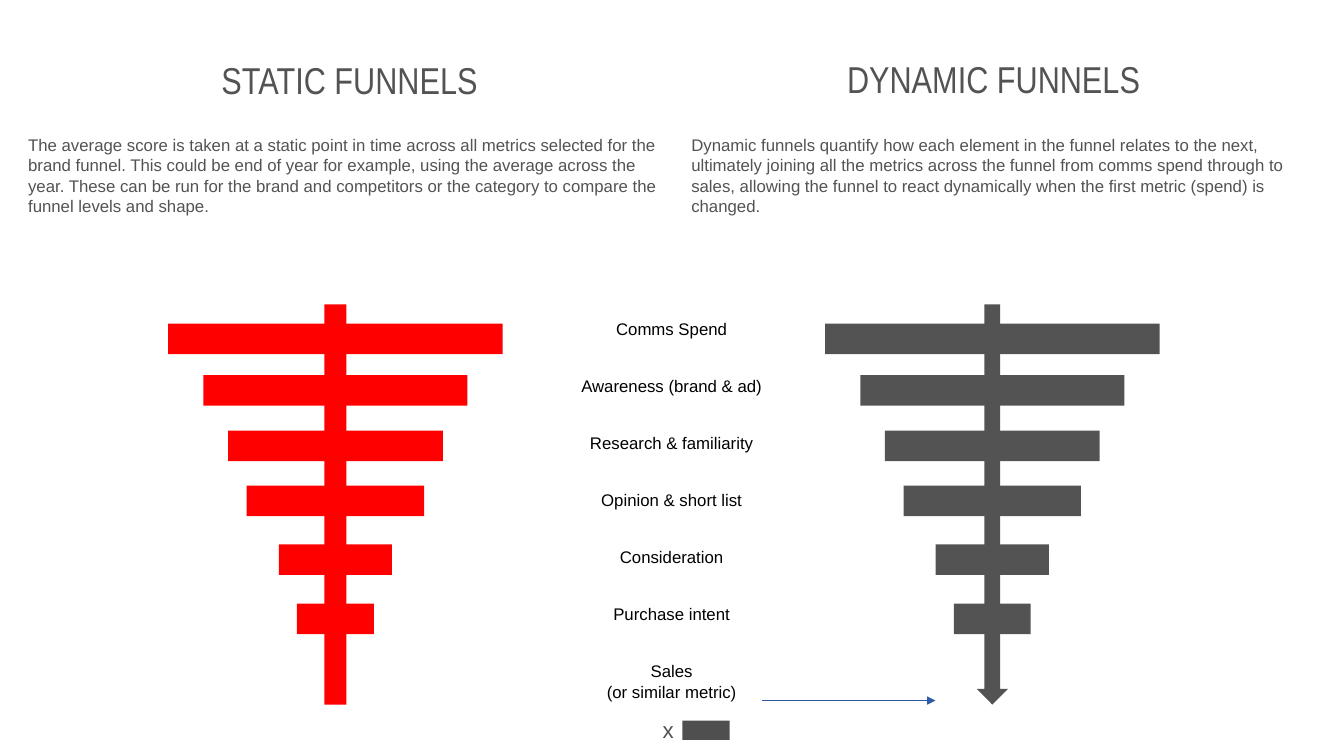
from lxml.etree import SubElement
from pptx import Presentation
from pptx.dml.color import RGBColor
from pptx.enum.shapes import MSO_CONNECTOR, MSO_SHAPE
from pptx.enum.text import MSO_ANCHOR, PP_ALIGN
from pptx.oxml.ns import qn
from pptx.util import Pt

COLORS = {
    "red": "FF0000",
    "gray": "535353",
    "black": "000000",
    "blue": "2E5BA6",
    "mark": "504F4F",
}

STATIC_TEXT = (
    "The average score is taken at a static point in time across all metrics "
    "selected for the brand funnel. This could be end of year for example, "
    "using the average across the year. These can be run for the brand and "
    "competitors or the category to compare the funnel levels and shape."
)
DYNAMIC_TEXT = (
    "Dynamic funnels quantify how each element in the funnel relates to the "
    "next, ultimately joining all the metrics across the funnel from comms "
    "spend through to sales, allowing the funnel to react dynamically when "
    "the first metric (spend) is changed."
)
LABELS = [
    "Comms Spend",
    "Awareness (brand & ad)",
    "Research & familiarity",
    "Opinion & short list",
    "Consideration",
    "Purchase intent",
    "Sales\n(or similar metric)",
]
# Top and width of each funnel bar
BARS = [(231.2, 239), (268, 188.6), (307.6, 153.4),
        (346.9, 126.7), (388.9, 80.8), (431.2, 55)]
BAR_HEIGHT = 21.8
STEM_TOP, STEM_HEIGHT = 217.5, 285.8
STATIC_X, LABEL_X, DYNAMIC_X = 239.6, 479.8, 708.8


def rgb(name):
    return RGBColor.from_string(COLORS[name])


def write(sp, text, size=12, font="Arial", color="gray", align=PP_ALIGN.LEFT,
          anchor=MSO_ANCHOR.TOP, margins=(7.2, 3.6)):
    """Fill a shape with text, one paragraph a line; margins are side and top."""
    tf = sp.text_frame
    tf.word_wrap = True
    tf.vertical_anchor = anchor
    side, top = margins
    tf.margin_left = tf.margin_right = Pt(side)
    tf.margin_top, tf.margin_bottom = Pt(top), Pt(min(top, 3.6))
    for i, line in enumerate(text.split("\n")):
        p = tf.paragraphs[0] if i == 0 else tf.add_paragraph()
        p.alignment = align
        p.line_spacing = 1.0
        p.space_before = Pt(0)
        r = p.add_run()
        r.text = line
        r.font.size, r.font.name = Pt(size), font
        r.font.bold = False
        r.font.color.rgb = rgb(color)


class FunnelSlide:
    HEADING = {"size": 26.7, "font": "Arial Narrow", "align": PP_ALIGN.CENTER}

    def __init__(self, prs):
        self.s = prs.slides.add_slide(prs.slide_layouts[5])

    def title(self, text, x, y, w, h, **style):
        sp = self.s.shapes.title
        sp.left, sp.top, sp.width, sp.height = Pt(x), Pt(y), Pt(w), Pt(h)
        write(sp, text, **self.HEADING, **style)

    def text(self, text, x, y, w, h, **style):
        sp = self.s.shapes.add_textbox(Pt(x), Pt(y), Pt(w), Pt(h))
        write(sp, text, **style)

    def block(self, center, y, w, h, color, kind=MSO_SHAPE.RECTANGLE):
        """Add a plain filled shape centred on a vertical axis."""
        sp = self.s.shapes.add_shape(kind, Pt(center - w / 2), Pt(y), Pt(w), Pt(h))
        sp.shadow.inherit = False
        sp.fill.solid()
        sp.fill.fore_color.rgb = rgb(color)
        sp.line.fill.background()

    def funnel(self, center, color, stem_width, stem_kind=MSO_SHAPE.RECTANGLE):
        self.block(center, STEM_TOP, stem_width, STEM_HEIGHT, color, stem_kind)
        for y, w in BARS:
            self.block(center, y, w, BAR_HEIGHT, color)

    def arrow(self, x1, y1, x2, y2, color):
        line = self.s.shapes.add_connector(
            MSO_CONNECTOR.STRAIGHT, Pt(x1), Pt(y1), Pt(x2), Pt(y2))
        line.line.width = Pt(1)
        line.line.color.rgb = rgb(color)
        SubElement(line.line._get_or_add_ln(), qn("a:tailEnd"), type="triangle")
        SubElement(line._element.spPr, qn("a:effectLst"))


def main():
    prs = Presentation()
    prs.slide_width, prs.slide_height = Pt(960), Pt(540)
    slide = FunnelSlide(prs)

    slide.title("STATIC FUNNELS", 48.2, 33.8, 403.2, 90, margins=(7.2, 6.9))
    slide.text("DYNAMIC FUNNELS", 508.3, 29.5, 403.2, 90,
               margins=(7.2, 10.5), **slide.HEADING)
    slide.text(STATIC_TEXT, 13, 92.9, 464.4, 76.3)
    slide.text(DYNAMIC_TEXT, 486.7, 92.9, 464.4, 76.3)

    slide.funnel(STATIC_X, "red", 15.8)
    slide.funnel(DYNAMIC_X, "gray", 22.3, MSO_SHAPE.DOWN_ARROW)

    for i, label in enumerate(LABELS):
        height = 21.8 + 14.4 * label.count("\n")
        slide.text(label, LABEL_X - 75, 223.9 + 40.8 * i, 150, height,
                   color="black", align=PP_ALIGN.CENTER)
    slide.arrow(544.3, 500.4, 668.2, 500.4, "blue")

    slide.text("x", 470.2, 516.2, 14.4, 10.1, size=16, align=PP_ALIGN.CENTER,
               anchor=MSO_ANCHOR.MIDDLE, margins=(0, 0))
    slide.block(504.4, 514.8, 33.8, 13.7, "mark")

    prs.save("out.pptx")


if __name__ == "__main__":
    main()
